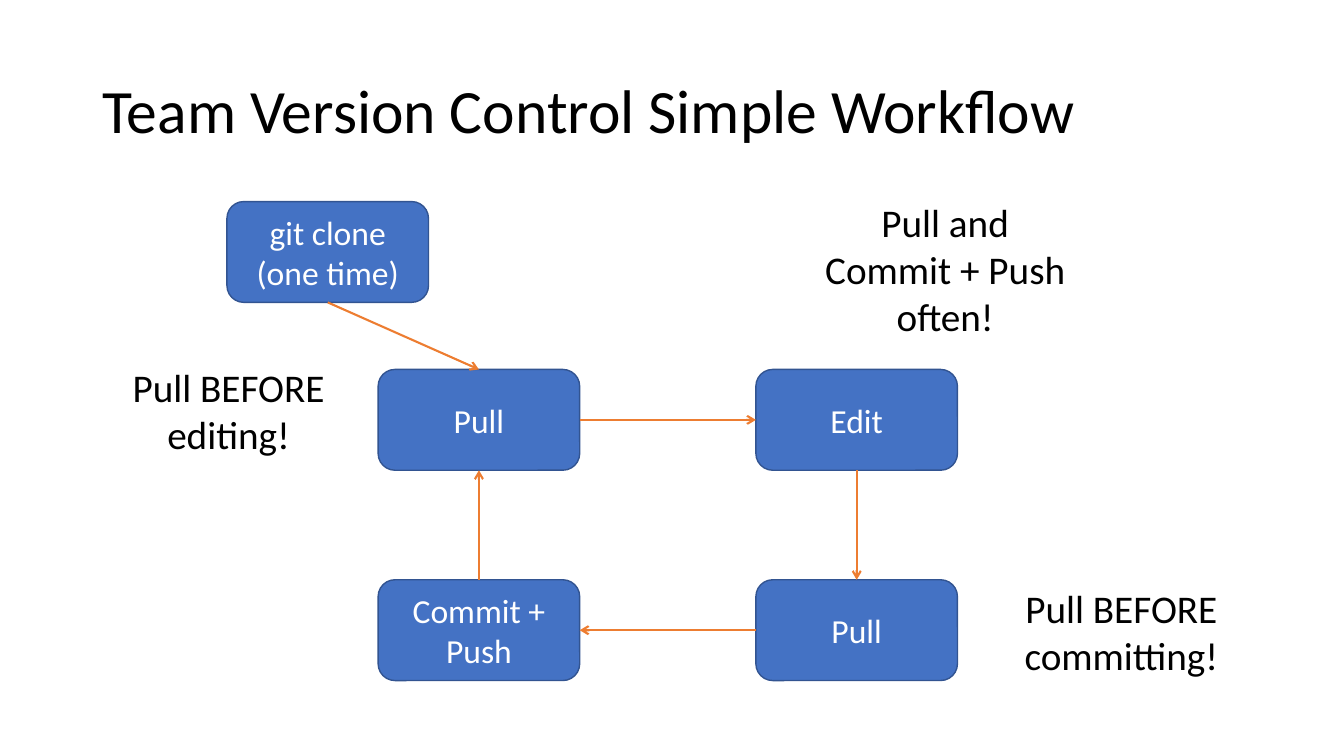
from typing import NamedTuple

from lxml import etree
from pptx import Presentation
from pptx import util as u
from pptx.dml import color
from pptx.enum import shapes, text
from pptx.oxml import ns

FONT = "Calibri"
BLUE, EDGE, ORANGE = "4472C4", "325491", "ED7D31"
WHITE, BLACK = "FFFFFF", "000000"
WIDE, HIGH = 5.08, 2.54
LEFT, RIGHT = 9.53, 19.05
UPPER, LOWER = 9.31, 14.61
TOP_SIDE, LEFT_SIDE, BASE_SIDE, RIGHT_SIDE = range(4)


class Step(NamedTuple):
    key: str
    words: str
    x: float
    y: float


class Link(NamedTuple):
    start: str
    out: int
    end: str
    into: int


class Note(NamedTuple):
    words: str
    x: float
    y: float
    high: float


STEPS = [
    Step("clone", "git clone\n(one time)", 5.72, 5.08),
    Step("edit", "Edit", RIGHT, UPPER),
    Step("pull", "Pull", LEFT, UPPER),
    Step("push", "Commit + Push", LEFT, LOWER),
    Step("merge", "Pull", RIGHT, LOWER),
]
LINKS = [
    Link("clone", BASE_SIDE, "pull", TOP_SIDE),
    Link("pull", RIGHT_SIDE, "edit", LEFT_SIDE),
    Link("edit", BASE_SIDE, "merge", TOP_SIDE),
    Link("merge", LEFT_SIDE, "push", RIGHT_SIDE),
    Link("push", TOP_SIDE, "pull", BASE_SIDE),
]
NOTES = [
    Note("Pull and\nCommit + Push often!", 19.69, 4.88, 3.84),
    Note("Pull BEFORE committing!", 24.13, 14.61, 2.64),
    Note("Pull BEFORE editing!", 1.63, 9.04, 2.64),
]


def rgb(code: str) -> color.RGBColor:
    return color.RGBColor.from_string(code)


def write(shape, words: str, *, size: float, tint: str = BLACK,
          align=text.PP_ALIGN.CENTER, anchor=text.MSO_ANCHOR.MIDDLE,
          space: float = 1.0) -> None:
    frame = shape.text_frame
    frame.word_wrap = True
    frame.vertical_anchor = anchor
    frame.text = words
    for para in frame.paragraphs:
        para.alignment = align
        para.line_spacing = space
        para.font.name = FONT
        para.font.size = u.Pt(size)
        para.font.color.rgb = rgb(tint)


def add_box(slide, x: float, y: float, wide: float, high: float):
    return slide.shapes.add_textbox(u.Cm(x), u.Cm(y), u.Cm(wide), u.Cm(high))


def add_step(slide, step: Step):
    shape = slide.shapes.add_shape(
        shapes.MSO_SHAPE.ROUNDED_RECTANGLE,
        u.Cm(step.x), u.Cm(step.y), u.Cm(WIDE), u.Cm(HIGH))
    shape.shadow.inherit = False
    shape.fill.solid()
    shape.fill.fore_color.rgb = rgb(BLUE)
    shape.line.color.rgb = rgb(EDGE)
    shape.line.width = u.Pt(1)
    write(shape, step.words, size=24, tint=WHITE)
    return shape


def add_link(slide, link: Link, nodes: dict) -> None:
    line = slide.shapes.add_connector(shapes.MSO_CONNECTOR.STRAIGHT, 0, 0, 0, 0)
    line.begin_connect(nodes[link.start], link.out)
    line.end_connect(nodes[link.end], link.into)
    line.line.color.rgb = rgb(ORANGE)
    line.line.width = u.Pt(1.5)
    etree.SubElement(line.line._get_or_add_ln(), ns.qn("a:tailEnd"), type="arrow")
    etree.SubElement(line._element.spPr, ns.qn("a:effectLst"))


def main() -> None:
    deck = Presentation()
    deck.slide_width, deck.slide_height = u.Cm(33.87), u.Cm(19.05)
    slide = deck.slides.add_slide(deck.slide_layouts[6])

    write(add_box(slide, 2.33, 1.01, 29.21, 3.68),
          "Team Version Control Simple Workflow",
          size=44, align=text.PP_ALIGN.LEFT, space=0.9)
    nodes = {step.key: add_step(slide, step) for step in STEPS}
    for link in LINKS:
        add_link(slide, link, nodes)
    for note in NOTES:
        write(add_box(slide, note.x, note.y, 8.26, note.high), note.words,
              size=28, anchor=text.MSO_ANCHOR.TOP)
    deck.save("out.pptx")


if __name__ == "__main__":
    main()
